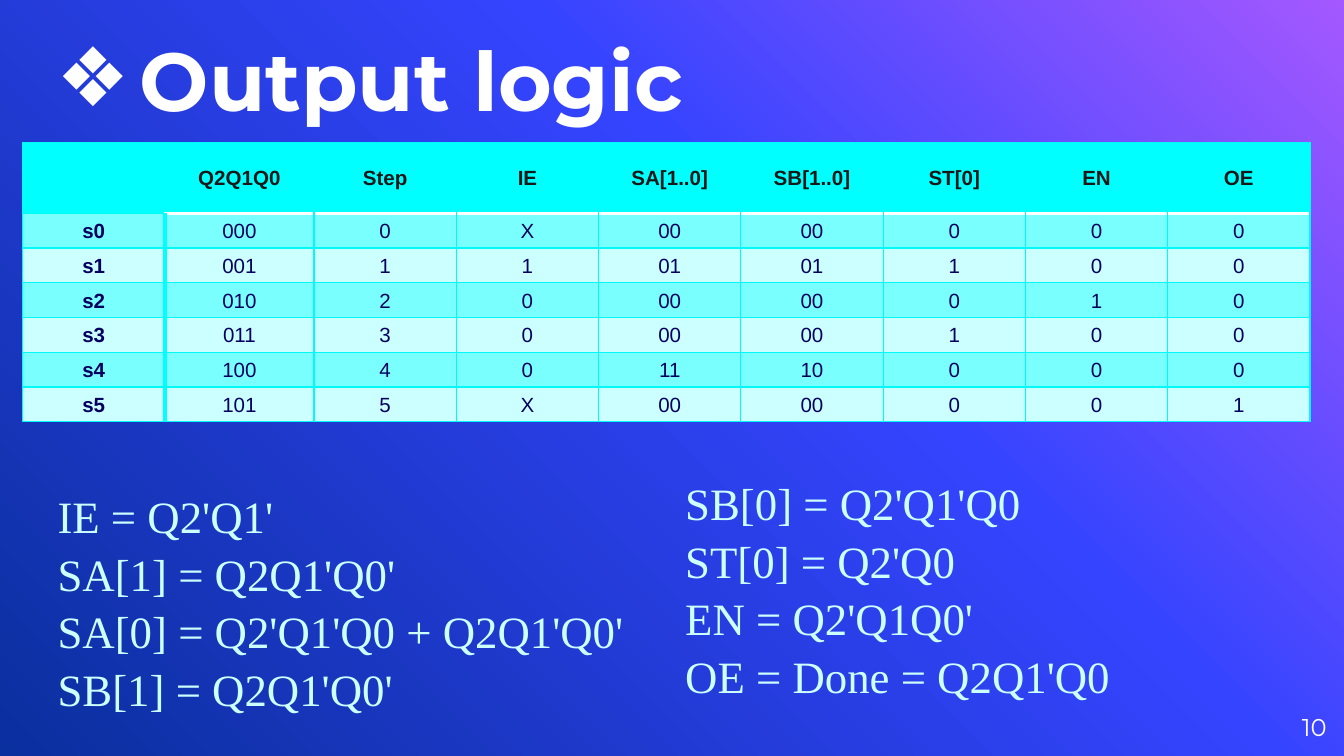
from copy import deepcopy
from dataclasses import dataclass, field

from lxml.etree import SubElement
from pptx import Presentation
from pptx.dml.color import RGBColor
from pptx.enum.text import MSO_ANCHOR, MSO_AUTO_SIZE, PP_ALIGN
from pptx.oxml.ns import qn
from pptx.util import Inches, Pt

COLORS = {
    "purple": "A458FF", "blue": "3544FF", "navy": "0A2F9E",
    "white": "FFFFFF", "header": "00FFFF", "grid": "00F9F9",
    "band": "7AFFFF", "pale": "CCFFFF", "dark": "181818", "ink": "050060",
}
SLIDE_W, SLIDE_H = Inches(10), Inches(5.625)
LINE_SPACING = 1.07

HEADERS = ["", "Q2Q1Q0", "Step", "IE", "SA[1..0]", "SB[1..0]", "ST[0]", "EN", "OE"]
STATES = [
    "s0 000 0 X 00 00 0 0 0",
    "s1 001 1 1 01 01 1 0 0",
    "s2 010 2 0 00 00 0 1 0",
    "s3 011 3 0 00 00 1 0 0",
    "s4 100 4 0 11 10 0 0 0",
    "s5 101 5 X 00 00 0 0 1",
]


@dataclass
class Box:
    """A place on the slide, in percent of its width and height."""
    left: float
    top: float
    width: float
    height: float

    def lengths(self) -> tuple:
        return across(self.left), down(self.top), across(self.width), down(self.height)


@dataclass
class TextBlock:
    box: Box
    lines: list
    font: dict
    frame: dict = field(default_factory=dict)
    paragraph: dict = field(default_factory=dict)
    space_after_last: float = 0


def across(percent: float) -> int:
    return int(SLIDE_W * percent / 100)


def down(percent: float) -> int:
    return int(SLIDE_H * percent / 100)


def apply(target, values: dict) -> None:
    for name, value in values.items():
        setattr(target, name, value)


def font_format(name: str, size: float, color: str, bold: bool = False) -> dict:
    return {"name": name, "size": Pt(size), "bold": bold, "color": color}


def add_run(p, text: str, font: dict) -> None:
    r = p.add_run()
    r.text = text
    apply(r.font, {k: v for k, v in font.items() if k != "color"})
    r.font.color.rgb = RGBColor.from_string(COLORS[font["color"]])


def paint_background(s, stops: list, angle: float) -> None:
    fill = s.background.fill
    fill.gradient()
    fill.gradient_angle = angle
    stop_list = s.element.xpath(".//a:gsLst")[0]
    stop_list.append(deepcopy(stop_list[-1]))
    for stop, (position, color) in zip(fill.gradient_stops, stops):
        stop.position = position
        stop.color.rgb = RGBColor.from_string(COLORS[color])


def add_text(s, block: TextBlock):
    tf = s.shapes.add_textbox(*block.box.lengths()).text_frame
    apply(tf, {"word_wrap": True, **block.frame})
    for i, line in enumerate(block.lines):
        p = tf.add_paragraph() if i else tf.paragraphs[0]
        apply(p, block.paragraph)
        add_run(p, line, block.font)
    if block.space_after_last:
        p.space_after = Pt(block.space_after_last)
    return tf


def add_bullet(p, char: str, color: str, indent: int) -> None:
    pPr = p._p.get_or_add_pPr()
    pPr.set("marL", str(indent))
    pPr.set("indent", str(-indent))
    SubElement(SubElement(pPr, qn("a:buClr")), qn("a:srgbClr"), val=COLORS[color])
    SubElement(pPr, qn("a:buFont"), typeface="Arial")
    SubElement(pPr, qn("a:buChar"), char=char)


def add_borders(cell, **sides: tuple) -> None:
    """Each side, L, R, T or B, takes a colour name and a width in points."""
    tcPr = cell._tc.get_or_add_tcPr()
    for side in "LRTB":
        color, width = sides.get(side, ("grid", 0.75))
        ln = SubElement(tcPr, qn(f"a:ln{side}"), w=str(Pt(width)))
        SubElement(SubElement(ln, qn("a:solidFill")), qn("a:srgbClr"), val=COLORS[color])


def fill_cell(cell, text: str, row: int, col: int) -> None:
    rule = ("white", 2)
    sides = {}
    if row == 0:
        sides = {"L": ("header", 0.75), "R": ("header", 0.75)}
        if col:
            sides["B"] = rule
    else:
        if row == 1 and col:
            sides["T"] = rule
        if col < 2:
            sides["L" if col else "R"] = ("header", 2)
    add_borders(cell, **sides)
    cell.fill.solid()
    shade = "header" if row == 0 else "band" if row % 2 else "pale"
    cell.fill.fore_color.rgb = RGBColor.from_string(COLORS[shade])
    apply(cell, {"vertical_anchor": MSO_ANCHOR.MIDDLE,
                 "margin_left": Inches(0.07), "margin_right": Inches(0.07),
                 "margin_top": 0, "margin_bottom": 0})
    p = cell.text_frame.paragraphs[0]
    apply(p, {"alignment": PP_ALIGN.CENTER, "line_spacing": LINE_SPACING})
    if text:
        color = "ink" if row else "dark"
        add_run(p, text, font_format("Arial", 11, color, row == 0 or col == 0))


def add_state_table(s, box: Box) -> None:
    rows = [HEADERS] + [state.split() for state in STATES]
    table = s.shapes.add_table(len(rows), len(HEADERS), *box.lengths()).table
    apply(table, {"first_row": False, "horz_banding": False})
    for i, column in enumerate(table.columns):
        column.width = across(11.1 if i == 1 else 10.59)
    for i, row in enumerate(table.rows):
        row.height = down(4.6 if i else 9.42)
    for i, texts in enumerate(rows):
        for j, text in enumerate(texts):
            fill_cell(table.cell(i, j), text, i, j)


def main() -> None:
    prs = Presentation()
    prs.slide_width, prs.slide_height = SLIDE_W, SLIDE_H
    s = prs.slides.add_slide(prs.slide_layouts[6])
    paint_background(s, [(0, "purple"), (0.39, "blue"), (1, "navy")], 225)

    no_margins = dict.fromkeys(
        ["margin_left", "margin_top", "margin_right", "margin_bottom"], 0)
    title = add_text(s, TextBlock(
        Box(4.2, 0.18, 70.1, 16.7), ["Output logic"],
        font_format("Montserrat", 44, "white", True),
        {**no_margins, "vertical_anchor": MSO_ANCHOR.BOTTOM}))
    add_bullet(title.paragraphs[0], "❖", "white", across(6.2))
    add_text(s, TextBlock(
        Box(92.7, 92.3, 6, 7.6), ["10"], font_format("Montserrat", 13, "white"),
        {**no_margins, "vertical_anchor": MSO_ANCHOR.MIDDLE},
        {"alignment": PP_ALIGN.RIGHT}))

    add_state_table(s, Box(1.68, 18.8, 95.8, 37))

    equations = [
        (Box(3.3, 63.3, 44.2, 32.2),
         ["IE = Q2'Q1'", "SA[1] = Q2Q1'Q0'", "SA[0] = Q2'Q1'Q0 + Q2Q1'Q0'",
          "SB[1] = Q2Q1'Q0'"]),
        (Box(50, 61.6, 39.2, 32),
         ["SB[0] = Q2'Q1'Q0", "ST[0] = Q2'Q0", "EN = Q2'Q1Q0'",
          "OE = Done = Q2Q1'Q0"]),
    ]
    for box, lines in equations:
        add_text(s, TextBlock(
            box, lines, font_format("Times New Roman", 24, "pale"),
            {"auto_size": MSO_AUTO_SIZE.SHAPE_TO_FIT_TEXT},
            {"line_spacing": LINE_SPACING}, space_after_last=8))

    prs.save("out.pptx")


if __name__ == "__main__":
    main()
